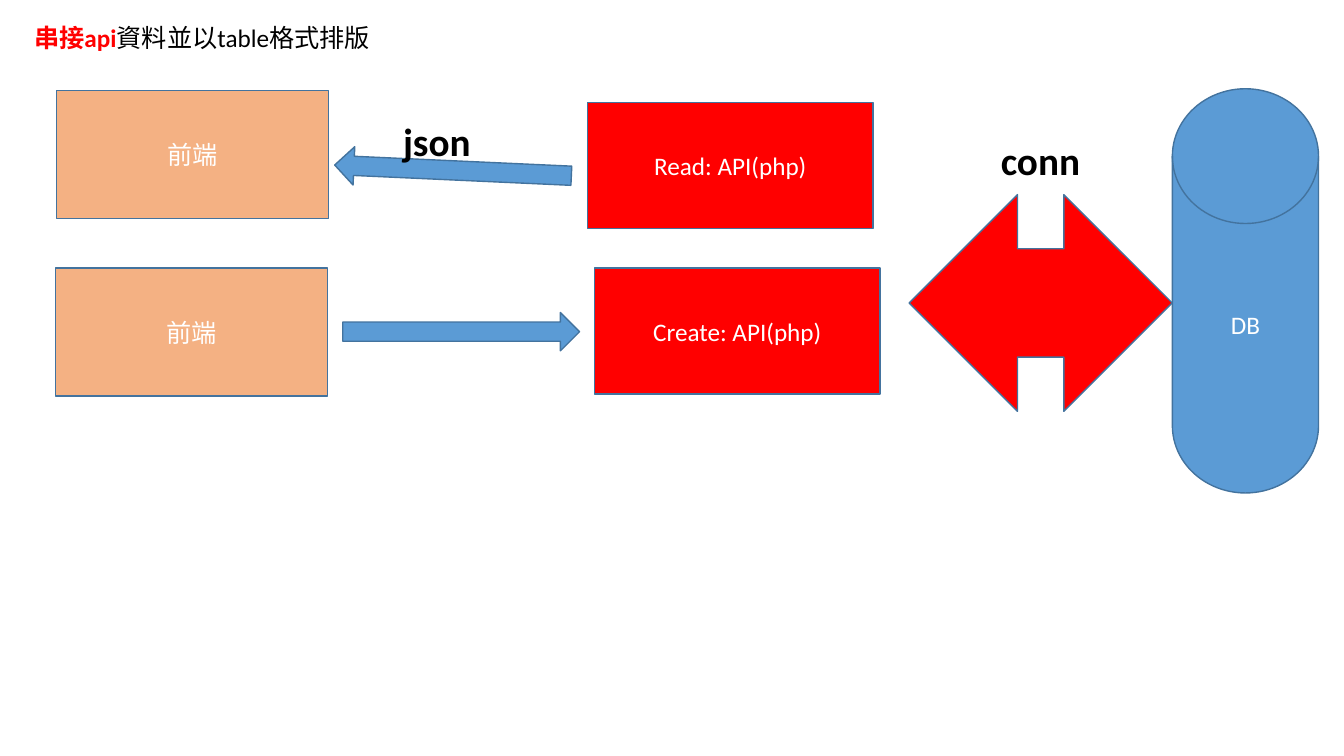
import pptx
import pptx.util
import pptx.dml.color
import pptx.enum.shapes
import pptx.enum.text

Pt = pptx.util.Pt
RGBColor = pptx.dml.color.RGBColor
SHAPE = pptx.enum.shapes.MSO_SHAPE

BLUE = RGBColor(0x5B, 0x9B, 0xD5)
OUTLINE = RGBColor(0x43, 0x73, 0x9E)
RED = RGBColor(0xFF, 0x00, 0x00)
ORANGE = RGBColor(0xF4, 0xB1, 0x83)
WHITE = RGBColor(0xFF, 0xFF, 0xFF)
BLACK = RGBColor(0x00, 0x00, 0x00)

FRONTEND_SIZE = (194.4, 91.4)
API_SIZE = (203.8, 90)
ARROW_SIZE = (169.2, 27.4)


class Diagram:
    font = "Calibri"
    body_size = 18
    label_size = 28

    def __init__(self, slide):
        self.slide = slide

    def style_run(self, run, size, color, bold=False):
        run.font.name = self.font
        run.font.size = Pt(size)
        run.font.bold = bold
        run.font.color.rgb = color

    def block(self, kind, left, top, size, fill, text="", rotation=0):
        """Draw an outlined preset shape with optional centred text."""
        block = self.slide.shapes.add_shape(
            kind, Pt(left), Pt(top), Pt(size[0]), Pt(size[1]))
        block.shadow.inherit = False
        block.rotation = rotation
        block.fill.solid()
        block.fill.fore_color.rgb = fill
        block.line.color.rgb = OUTLINE
        block.line.width = Pt(1)
        if text:
            frame = block.text_frame
            frame.text = text
            frame.vertical_anchor = pptx.enum.text.MSO_ANCHOR.MIDDLE
            frame.paragraphs[0].alignment = pptx.enum.text.PP_ALIGN.CENTER
            self.style_run(frame.paragraphs[0].runs[0], self.body_size, WHITE)

    def text_box(self, left, top, width, height, wrap=False):
        """Return the first paragraph of a new text box."""
        box = self.slide.shapes.add_textbox(
            Pt(left), Pt(top), Pt(width), Pt(height))
        box.text_frame.word_wrap = wrap
        return box.text_frame.paragraphs[0]

    def label(self, text, left, top, width, height):
        caption = self.text_box(left, top, width, height)
        caption.text = text
        self.style_run(caption.runs[0], self.label_size, BLACK, bold=True)

    def heading(self, emphasis, rest, left, top, width, height):
        heading = self.text_box(left, top, width, height, wrap=True)
        for text, color, bold in ((emphasis, RED, True), (rest, BLACK, False)):
            run = heading.add_run()
            run.text = text
            self.style_run(run, self.body_size, color, bold)


def main():
    deck = pptx.Presentation()
    deck.slide_width, deck.slide_height = Pt(960), Pt(540)
    diagram = Diagram(deck.slides.add_slide(deck.slide_layouts[6]))

    diagram.block(SHAPE.FLOWCHART_MAGNETIC_DISK, 837.4, 63.4, (104.4, 288.7), BLUE, "DB")
    diagram.block(SHAPE.RECTANGLE, 419.8, 73.4, API_SIZE, RED, "Read: API(php)")
    diagram.block(SHAPE.LEFT_RIGHT_ARROW, 649.4, 139, (187.9, 154.8), RED)
    diagram.label("conn", 707.8, 93.6, 72, 41)
    diagram.block(SHAPE.RECTANGLE, 40.3, 64.8, FRONTEND_SIZE, ORANGE, "前端")
    diagram.block(SHAPE.RIGHT_ARROW, 239, 108, ARROW_SIZE, BLUE, rotation=182.6)
    diagram.label("json", 280.8, 80.6, 63.4, 74.9)
    diagram.heading("串接api", "資料並以table格式排版", 17.3, 12.2, 256.3, 51.1)
    diagram.block(SHAPE.RECTANGLE, 424.8, 191.5, API_SIZE, RED, "Create: API(php)")
    diagram.block(SHAPE.RECTANGLE, 39.6, 191.5, FRONTEND_SIZE, ORANGE, "前端")
    diagram.block(SHAPE.RIGHT_ARROW, 244.8, 223.2, ARROW_SIZE, BLUE)

    deck.save("out.pptx")


if __name__ == "__main__":
    main()
